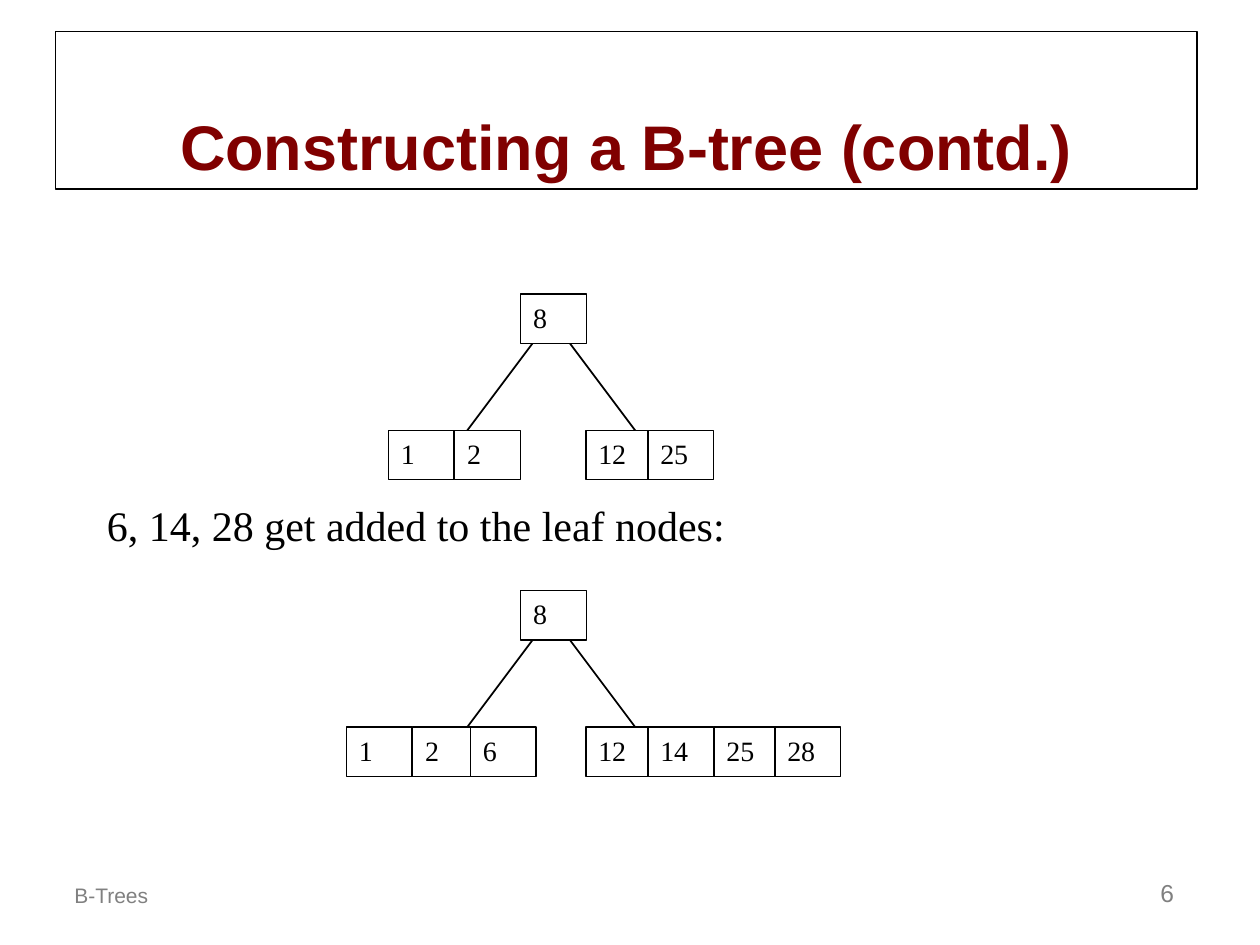
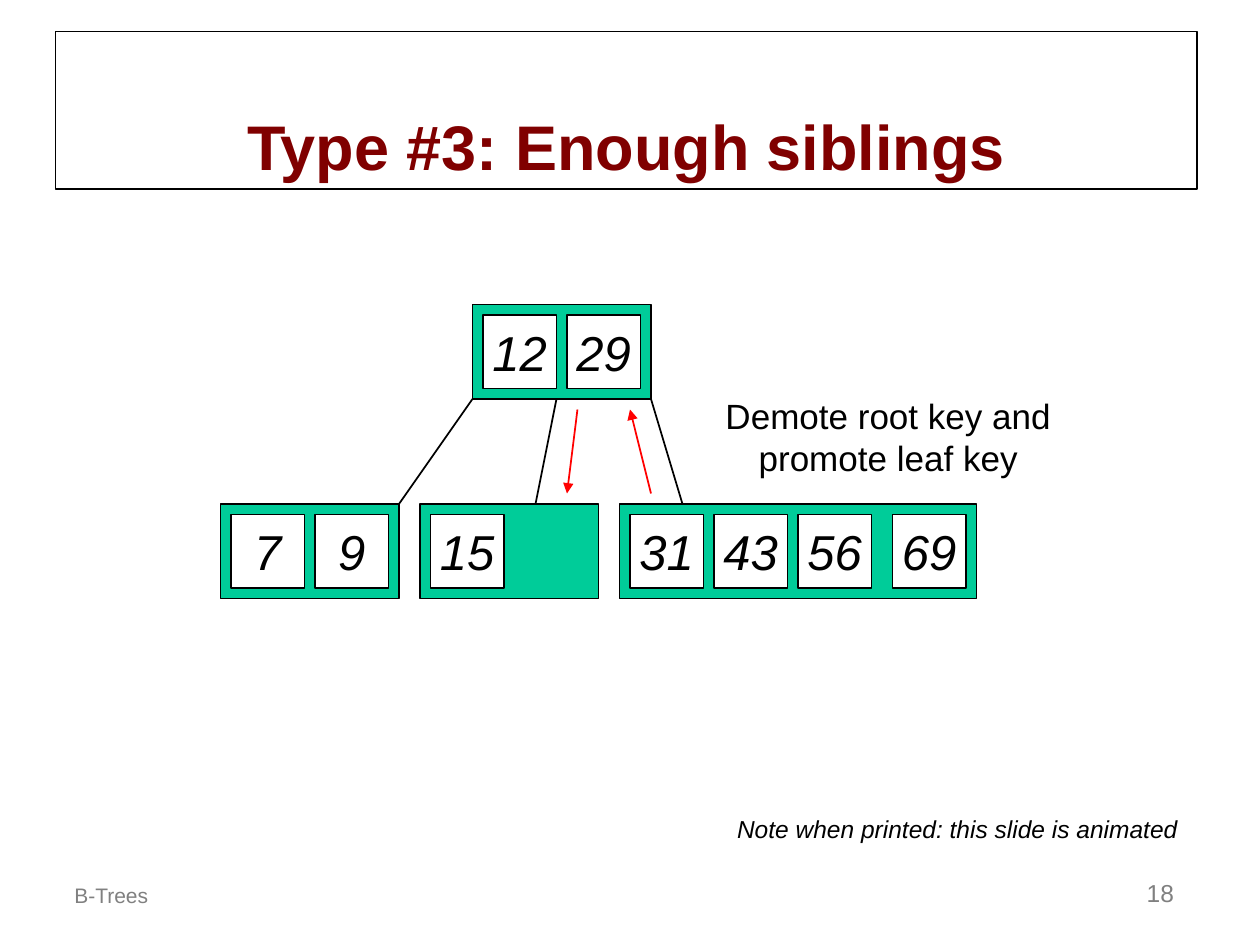
from lxml import etree
from pptx import Presentation
from pptx import util as u
from pptx.dml.color import RGBColor
from pptx.enum import shapes, text
from pptx.oxml.ns import qn

BLACK, WHITE, GRAY = "000000", "FFFFFF", "808080"
MAROON, GREEN, RED = "800000", "00CC99", "FF0000"
SANS, SERIF = "Arial", "Times New Roman"
LEFT, CENTER, RIGHT = text.PP_ALIGN.LEFT, text.PP_ALIGN.CENTER, text.PP_ALIGN.RIGHT
TOP, MIDDLE, BOTTOM = text.MSO_ANCHOR.TOP, text.MSO_ANCHOR.MIDDLE, text.MSO_ANCHOR.BOTTOM
color = RGBColor.from_string

presentation = Presentation()
presentation.slide_width = u.Inches(10)
presentation.slide_height = u.Inches(7.5)
column = presentation.slide_width / 120
row = presentation.slide_height / 90


def write(slide, words, cells, placeholder=None, fill=None, line=None, width=0.75,
          size=16, font=SANS, ink=BLACK, bold=False, italic=False,
          align=LEFT, anchor=TOP, before=0, wrap=True):
    left, top, columns, rows = cells
    place = [int(length) for length in (left * column, top * row, columns * column, rows * row)]
    if placeholder is not None:
        shape = placeholder
        shape.left, shape.top, shape.width, shape.height = place
    elif fill:
        shape = slide.shapes.add_shape(shapes.MSO_SHAPE.RECTANGLE, *place)
        shape.shadow.inherit = False
        shape.fill.solid()
        shape.fill.fore_color.rgb = color(fill)
    else:
        shape = slide.shapes.add_textbox(*place)
    if line:
        shape.line.color.rgb = color(line)
        shape.line.width = u.Pt(width)
    frame = shape.text_frame
    frame.text = words
    frame.auto_size = text.MSO_AUTO_SIZE.NONE
    frame.word_wrap = wrap
    frame.vertical_anchor = anchor
    for paragraph in frame.paragraphs:
        paragraph.alignment = align
        paragraph.space_before = u.Pt(before)
        paragraph.font.size = u.Pt(size)
        paragraph.font.name = font
        paragraph.font.bold = bold
        paragraph.font.italic = italic
        paragraph.font.color.rgb = color(ink)


def connect(slide, start, end, ink=BLACK, arrow=False):
    connector = slide.shapes.add_connector(
        shapes.MSO_CONNECTOR.STRAIGHT,
        int(start[0] * column), int(start[1] * row), int(end[0] * column), int(end[1] * row))
    connector.line.color.rgb = color(ink)
    connector.line.width = u.Pt(1)
    properties = connector._element.spPr
    if arrow:
        etree.SubElement(properties.find(qn("a:ln")), qn("a:tailEnd"), type="triangle")
    etree.SubElement(properties, qn("a:effectLst"))


slides = []
for title, number in [("Constructing a B-tree (contd.)", "6"), ("Type #3: Enough siblings", "18")]:
    slide = presentation.slides.add_slide(presentation.slide_layouts[5])
    write(slide, title, (5.3, 3, 108.7, 15), placeholder=slide.shapes.title, line=BLACK,
          size=36, ink=MAROON, bold=True, align=CENTER, anchor=BOTTOM)
    write(slide, "B-Trees", (5.9, 81, 36, 6), size=12, ink=GRAY, anchor=BOTTOM, before=7.5)
    write(slide, number, (88, 81, 25, 6), size=14, ink=GRAY, align=RIGHT, anchor=BOTTOM, before=8.8)
    slides.append(slide)
building, siblings = slides

trees = [
    (28, {"1": 37, "2": 43.3, "12": 55.8, "25": 61.7}),
    (56.25, {"1": 33, "2": 39.3, "6": 44.8, "12": 55.8, "14": 61.7, "25": 68, "28": 73.8}),
]
for top, leaf_keys in trees:
    connect(building, (52, top + 3), (43, top + 15))
    connect(building, (53, top + 3), (62, top + 15))
    keys = [("8", 49.6, top)] + [(key, left, top + 13) for key, left in leaf_keys.items()]
    for key, left, key_top in keys:
        write(building, key, (left, key_top, 6.25, 4.7), fill=WHITE, line=BLACK, font=SERIF)
write(building, "6, 14, 28 get added to the leaf nodes:", (9, 47, 103, 6),
      size=24, font=SERIF, before=15)

nodes = [
    (45, 29, 17, {"12": 1, "29": 9}),
    (21, 48, 17, {"7": 1, "9": 9}),
    (40, 48, 17, {"15": 1}),
    (59, 48, 34, {"31": 1, "43": 9, "56": 17, "69": 26}),
]
for left, top, columns, keys in nodes:
    write(siblings, "", (left, top, columns, 9), fill=GREEN, line=BLACK, width=1)
    for key, offset in keys.items():
        write(siblings, key, (left + offset, top + 1, 7, 7), fill=WHITE, line=BLACK, width=1,
              size=28, italic=True, align=CENTER, anchor=MIDDLE, wrap=False)
for root_column, leaf_column in [(45, 38), (53, 51), (62, 65)]:
    connect(siblings, (root_column, 38), (leaf_column, 48))
connect(siblings, (62, 47), (60, 39), ink=RED, arrow=True)
connect(siblings, (55, 39), (54, 47), ink=RED, arrow=True)
write(siblings, "Demote root key and\npromote leaf key", (67.9, 37, 33.4, 9.2),
      size=20, align=CENTER, anchor=MIDDLE, wrap=False)
write(siblings, "Note when printed: this slide is animated", (69, 76.9, 44.4, 4.1),
      size=14, italic=True, align=CENTER, anchor=MIDDLE, wrap=False)

presentation.save("out.pptx")
